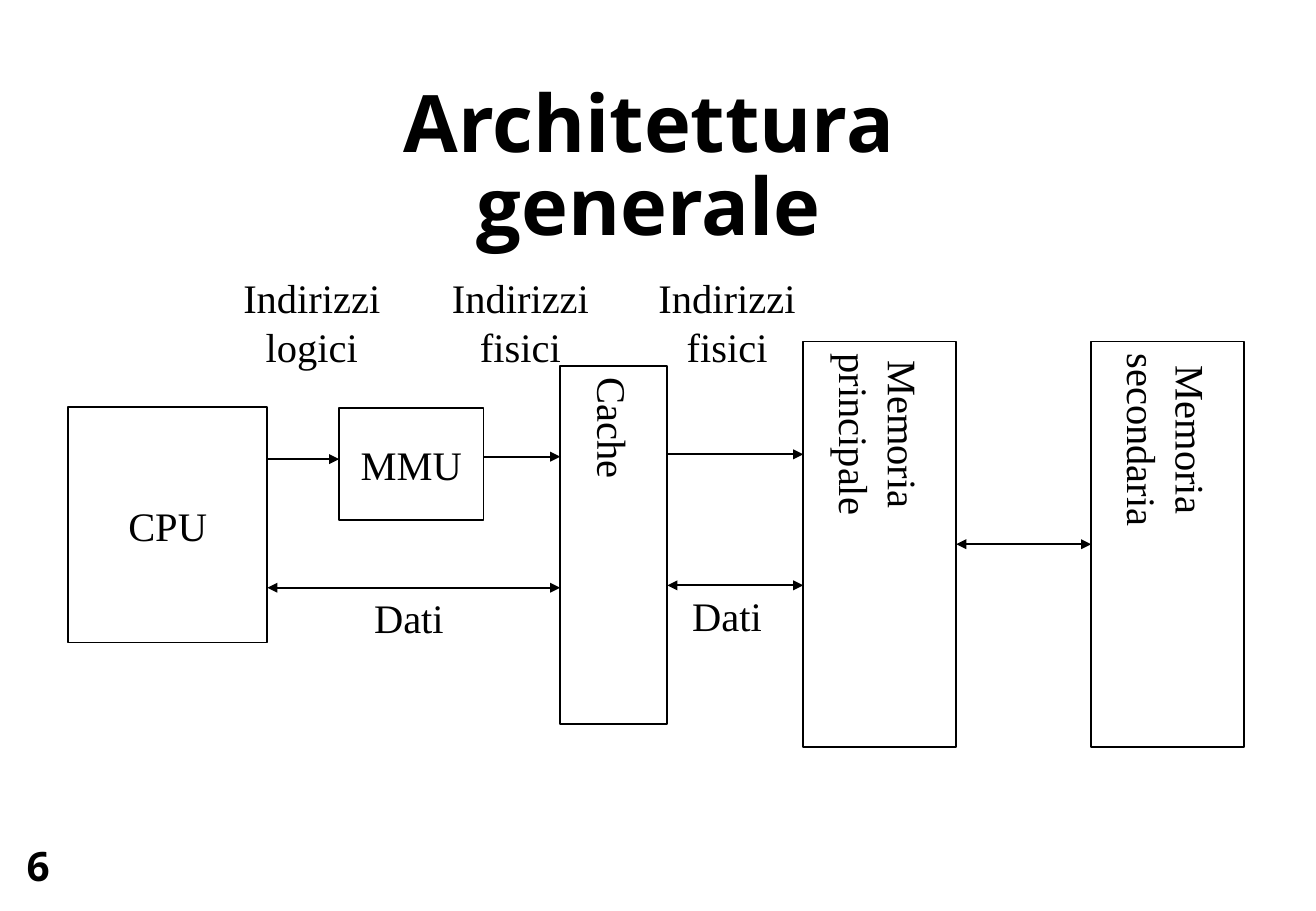
from lxml import etree
from pptx import Presentation, util as u
from pptx.dml.color import RGBColor
from pptx.enum import shapes, text
from pptx.oxml.ns import qn

# Content: all lengths in centimetres
TITLE = ("Architettura generale", (5.77, 1.73, 15.6, 4.0))
NUMBER = ("6", (0.43, 17.53, 1.24, 1.12))
# name: (label, (left, top, width, height), vertical text)
BLOCKS = {
    "cpu": ("CPU", (1.42, 8.51, 4.17, 4.93), False),
    "mmu": ("MMU", (7.09, 8.53, 3.02, 2.34), False),
    "cache": ("Cache", (11.71, 7.65, 2.24, 7.49), True),
    "main": ("Memoria\vprincipale", (16.79, 7.14, 3.2, 8.48), True),
    "secondary": ("Memoria\vsecondaria", (22.81, 7.14, 3.2, 8.48), True),
}
# (from block, to block, height on slide, both ways)
ARROWS = [
    ("main", "secondary", 11.38, True),
    ("cpu", "mmu", 9.6, False),
    ("mmu", "cache", 9.55, False),
    ("cache", "main", 9.5, False),
    ("cpu", "cache", 12.29, True),
    ("cache", "main", 12.24, True),
]
ADDRESSES = [("logici", 4.83), ("fisici", 9.19), ("fisici", 13.51)]
DATA = [(7.57, 12.27), (14.22, 12.24)]

THEME = {
    "ink": RGBColor(0, 0, 0),
    "line": u.Pt(1),
    "heading": {"name": "Open Sans", "size": u.Pt(47), "bold": True},
    "number": {"name": "Open Sans", "size": u.Pt(24), "bold": True},
    "body": {"name": "Times New Roman", "size": u.Pt(24), "bold": False},
}
TIGHT = {"margin_left": u.Cm(0.13), "margin_right": u.Cm(0.13),
         "margin_top": u.Cm(0.05), "margin_bottom": u.Cm(0.05)}
LEFT, CENTER = text.PP_ALIGN.LEFT, text.PP_ALIGN.CENTER


def apply(target, values):
    """Set each named attribute on the target."""
    for key, value in values.items():
        setattr(target, key, value)


def write(sp, words, style, align, **frame):
    """Put styled words into a shape; line breaks are marked by \\v."""
    tf = sp.text_frame
    apply(tf, {"word_wrap": False, **frame})
    p = tf.paragraphs[0]
    p.text, p.alignment = words, align
    for r in p.runs:
        apply(r.font, THEME[style])
        r.font.color.rgb = THEME["ink"]
    return p


def add_label(s, words, box, style="body", align=CENTER, **frame):
    """Add a text box and return its paragraph."""
    sp = s.shapes.add_textbox(*map(u.Cm, box))
    return write(sp, words, style, align, **frame)


def add_block(s, words, box, vertical):
    """Add an outlined block with a centred label."""
    sp = s.shapes.add_shape(shapes.MSO_SHAPE.RECTANGLE, *map(u.Cm, box))
    sp.shadow.inherit = False
    sp.fill.background()
    sp.line.color.rgb, sp.line.width = THEME["ink"], THEME["line"]
    write(sp, words, "body", CENTER, vertical_anchor=text.MSO_ANCHOR.MIDDLE)
    if vertical:
        sp.element.txBody.find(qn("a:bodyPr")).set("vert", "eaVert")


def add_arrow(s, start, end, y, both):
    """Join the facing edges of two blocks with an arrow."""
    left, _, width, _ = BLOCKS[start][1]
    x1, x2 = left + width, BLOCKS[end][1][0]
    c = s.shapes.add_connector(shapes.MSO_CONNECTOR.STRAIGHT,
                               *map(u.Cm, (x1, y, x2, y)))
    c.line.color.rgb, c.line.width = THEME["ink"], THEME["line"]
    ln = c.line._get_or_add_ln()
    for tag in ("a:headEnd", "a:tailEnd") if both else ("a:tailEnd",):
        etree.SubElement(ln, qn(tag)).set("type", "triangle")
    etree.SubElement(c.element.spPr, qn("a:effectLst"))


def main():
    """Build and save the slide."""
    prs = Presentation()
    prs.slide_width, prs.slide_height = u.Cm(27.51), u.Cm(19.05)
    s = prs.slides.add_slide(prs.slide_layouts[6])
    add_label(s, *NUMBER, "number", LEFT, **TIGHT)
    p = add_label(s, *TITLE, "heading", **{**TIGHT, "word_wrap": True})
    p.line_spacing = 0.88
    for block in BLOCKS.values():
        add_block(s, *block)
    for arrow in ARROWS:
        add_arrow(s, *arrow)
    for kind, left in ADDRESSES:
        add_label(s, f"Indirizzi\v{kind}", (left, 5.59, 3.38, 2.29))
    for left, top in DATA:
        add_label(s, "Dati", (left, top, 1.96, 1.27), align=LEFT)
    prs.save("out.pptx")


main()
